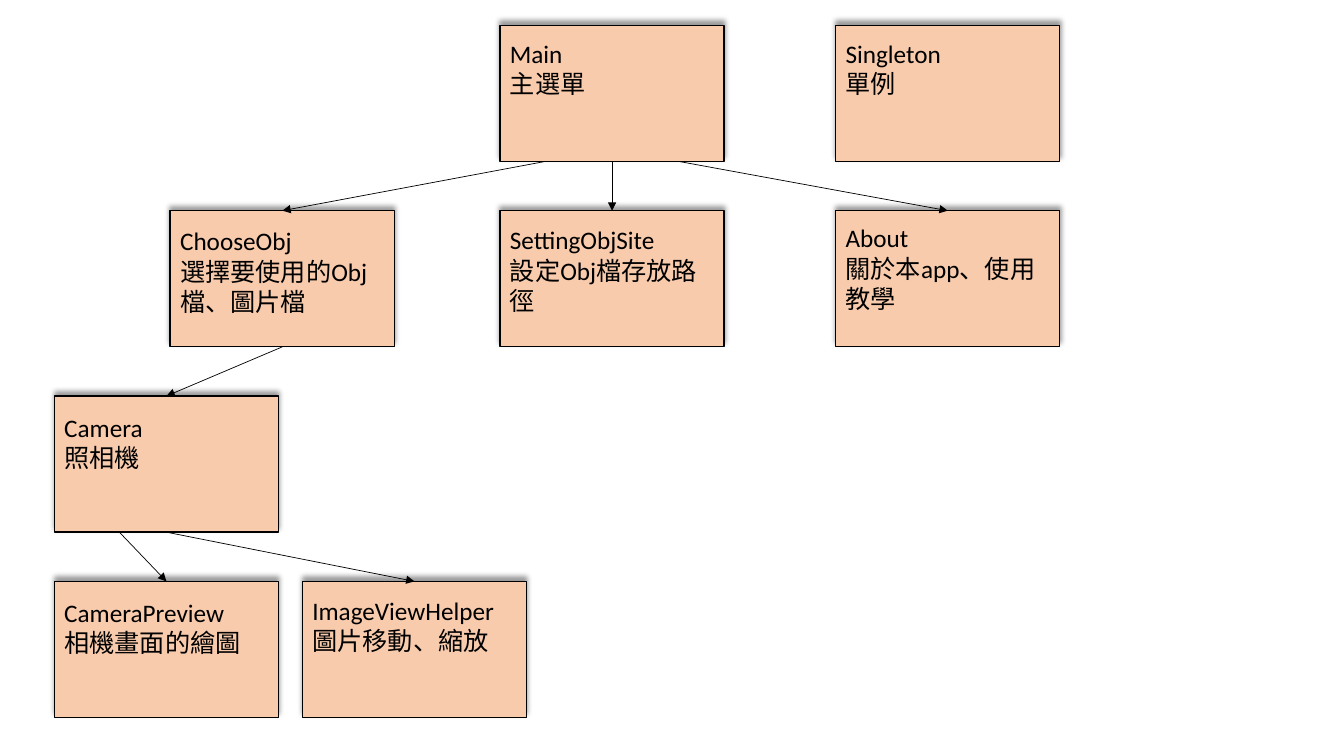
from dataclasses import dataclass

from lxml.etree import SubElement
from pptx import Presentation
from pptx.dml.color import RGBColor
from pptx.enum.shapes import MSO_CONNECTOR, MSO_SHAPE
from pptx.enum.text import MSO_AUTO_SIZE
from pptx.oxml.ns import qn
from pptx.util import Cm, Pt


@dataclass(frozen=True)
class Theme:
    fill: RGBColor = RGBColor(0xF8, 0xCB, 0xAD)
    ink: RGBColor = RGBColor(0, 0, 0)
    font: str = "Calibri"
    size: Pt = Pt(18)
    border: Pt = Pt(1)
    arrow: Pt = Pt(0.5)


THEME = Theme()

# Content: class name, description, left (cm), row, text offset (cm), text lines
CLASSES = [
    ("Main", "主選單", 12.6, 0, 0.2, 2),
    ("Singleton", "單例", 21.06, 0, 0.2, 2),
    ("ChooseObj", "選擇要使用的Obj檔、圖片檔", 4.29, 1, 0.25, 3),
    ("SettingObjSite", "設定Obj檔存放路徑", 12.6, 1, 0.23, 3),
    ("About", "關於本app、使用教學", 21.06, 1, 0.18, 3),
    ("Camera", "照相機", 1.37, 2, 0.28, 2),
    ("CameraPreview", "相機畫面的繪圖", 1.37, 3, 0.28, 2),
    ("ImageViewHelper", "圖片移動、縮放", 7.62, 3, 0.23, 2),
]
# Parent, child, where the arrow leaves the parent's bottom edge (share of width)
CALLS = [
    ("Main", "SettingObjSite", 0.5),
    ("Main", "ChooseObj", 0.2),
    ("Main", "About", 0.8),
    ("ChooseObj", "Camera", 0.5),
    ("Camera", "CameraPreview", 0.29),
    ("Camera", "ImageViewHelper", 0.5),
]

# Layout in cm
BOX_W, BOX_H = 5.65, 3.43
ROW_TOP, ROW_STEP = 0.64, 4.67
TEXT_H = {2: 1.8, 3: 2.57}


def row_top(row):
    return ROW_TOP + row * ROW_STEP


def add_shadow(sp):
    sp.shadow.inherit = False
    effects = sp._element.spPr.find(qn("a:effectLst"))
    shadow = SubElement(effects, qn("a:outerShdw"), blurRad=str(Pt(4)),
                        dist=str(Pt(3)), dir=str(270 * 60000), rotWithShape="0")
    color = SubElement(shadow, qn("a:srgbClr"), val=str(THEME.ink))
    SubElement(color, qn("a:alpha"), val="40000")


def add_class(s, name, description, left, row, offset, lines):
    top = row_top(row)
    group = s.shapes.add_group_shape()
    sp = group.shapes.add_shape(MSO_SHAPE.RECTANGLE, Cm(left), Cm(top), Cm(BOX_W), Cm(BOX_H))
    sp.fill.solid()
    sp.fill.fore_color.rgb = THEME.fill
    sp.line.color.rgb = THEME.ink
    sp.line.width = THEME.border
    add_shadow(sp)

    label = group.shapes.add_textbox(Cm(left), Cm(top + offset), Cm(BOX_W), Cm(TEXT_H[lines]))
    tf = label.text_frame
    tf.word_wrap = True
    tf.auto_size = MSO_AUTO_SIZE.SHAPE_TO_FIT_TEXT
    tf.text = f"{name}\n{description}"
    for p in tf.paragraphs:
        p.font.name = THEME.font
        p.font.size = THEME.size
        p.font.color.rgb = THEME.ink


def add_arrow(s, start, end):
    line = s.shapes.add_connector(MSO_CONNECTOR.STRAIGHT, *map(Cm, start + end))
    line.line.color.rgb = THEME.ink
    line.line.width = THEME.arrow
    SubElement(line.line._get_or_add_ln(), qn("a:tailEnd"), type="triangle")
    SubElement(line._element.spPr, qn("a:effectLst"))


prs = Presentation()
prs.slide_width, prs.slide_height = Cm(33.87), Cm(19.05)
s = prs.slides.add_slide(prs.slide_layouts[6])

# Class boxes
for entry in CLASSES:
    add_class(s, *entry)

# Arrows from parent to child
corners = {name: (left, row_top(row)) for name, _, left, row, _, _ in CLASSES}
for parent, child, share in CALLS:
    px, py = corners[parent]
    cx, cy = corners[child]
    add_arrow(s, (px + share * BOX_W, py + BOX_H), (cx + BOX_W / 2, cy))

prs.save("out.pptx")
